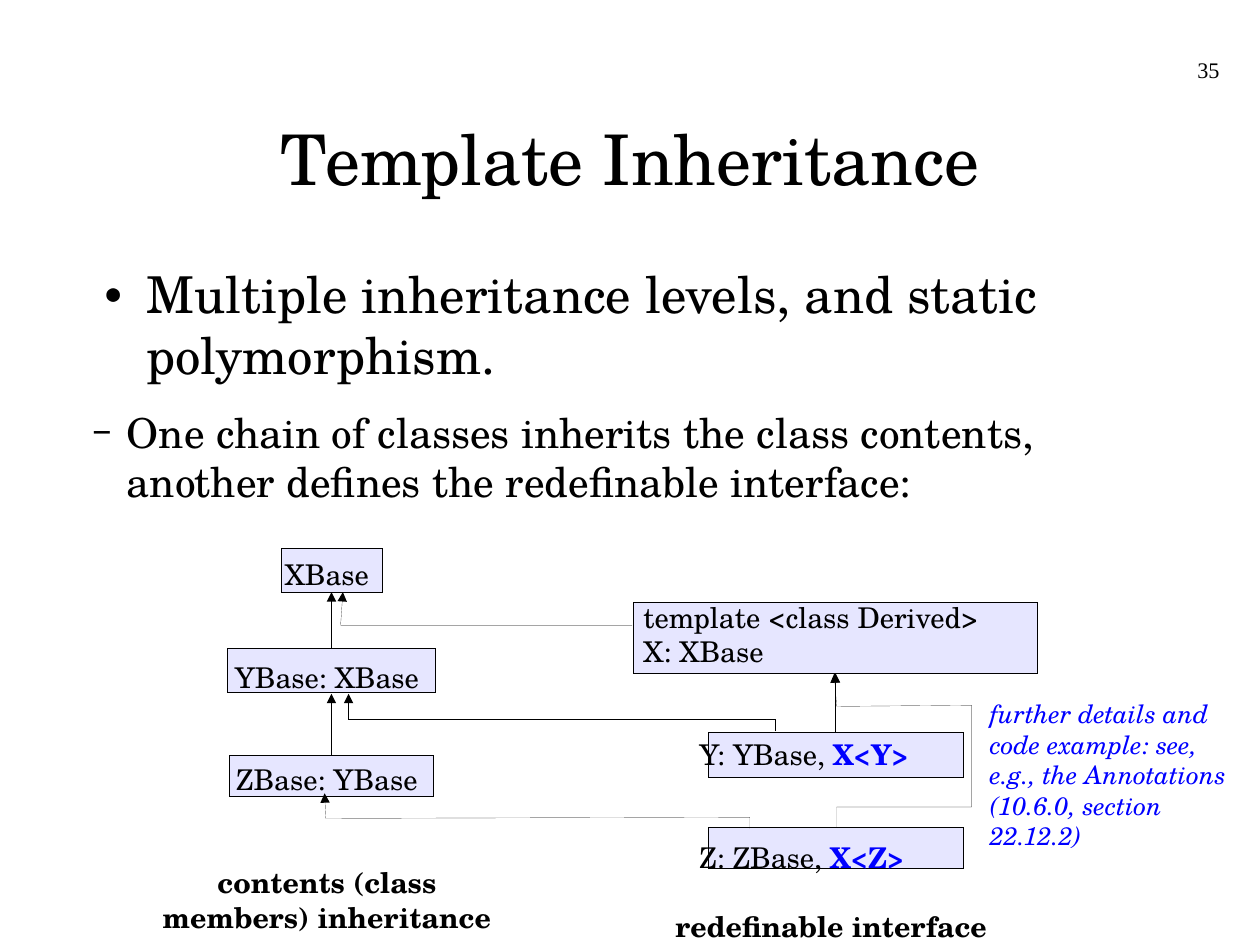
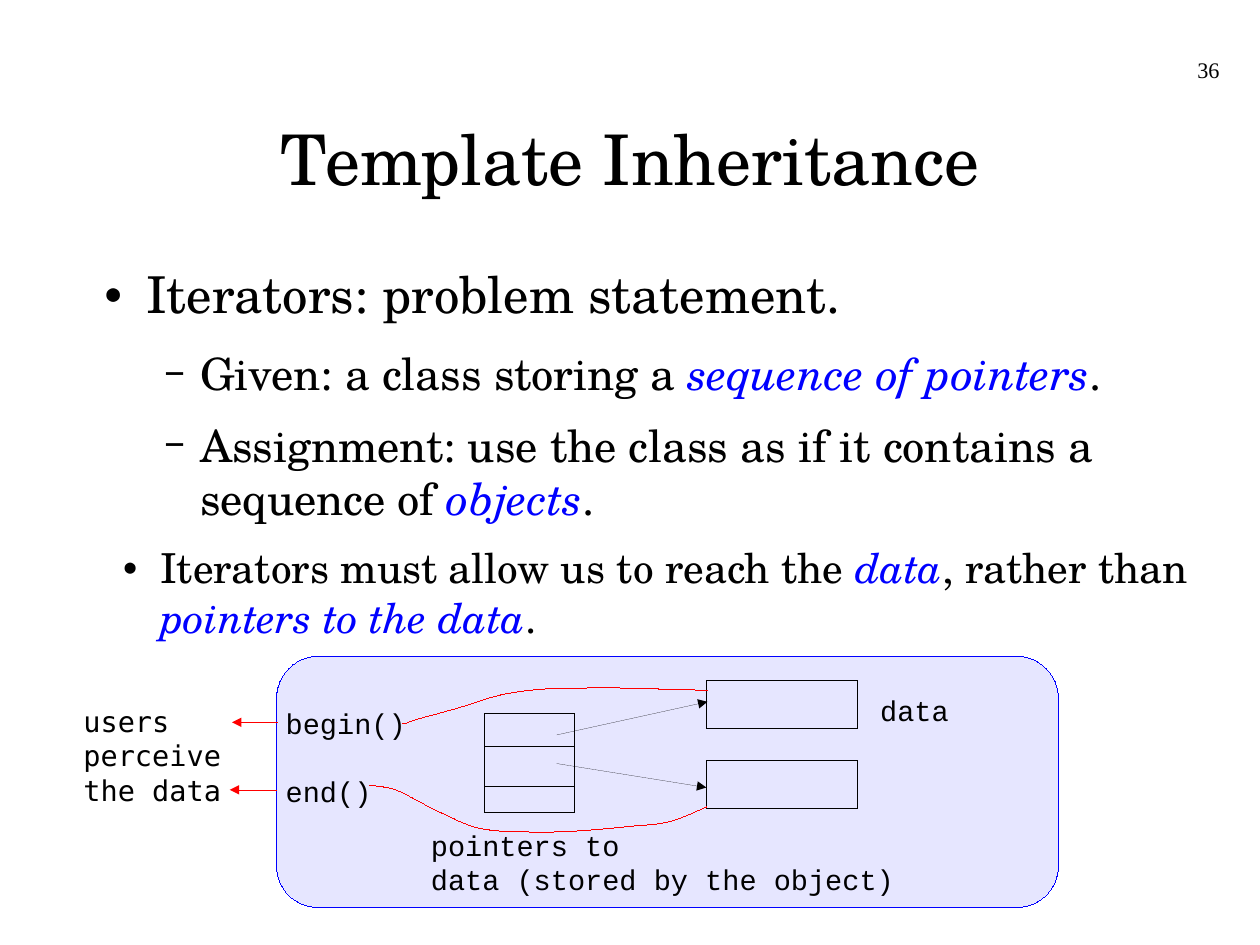
from lxml import etree
from pptx import Presentation
from pptx.dml.color import RGBColor
from pptx.enum.shapes import MSO_CONNECTOR, MSO_SHAPE
from pptx.enum.text import MSO_ANCHOR, PP_ALIGN
from pptx.oxml.ns import qn
from pptx.util import Inches, Pt

BLACK = RGBColor(0x00, 0x00, 0x00)
BLUE = RGBColor(0x00, 0x00, 0xFF)
RED = RGBColor(0xFF, 0x00, 0x00)
LAVENDER = RGBColor(0xE6, 0xE6, 0xFF)

SERIF = "TeX Gyre Schola"
COURIER = "Courier New"
MONO = "DejaVu Sans Mono"
NUMBER_FONT = "Times New Roman"

LEFT, CENTER, RIGHT = PP_ALIGN.LEFT, PP_ALIGN.CENTER, PP_ALIGN.RIGHT
TOP, MIDDLE = MSO_ANCHOR.TOP, MSO_ANCHOR.MIDDLE
RECT, ROUNDED = MSO_SHAPE.RECTANGLE, MSO_SHAPE.ROUNDED_RECTANGLE
STRAIGHT = MSO_CONNECTOR.STRAIGHT

CM_PER_INCH = 2.54
DOT, DASH = ("●", 45), ("−", 75)


def term(text):
    return text, {"color": BLUE, "italic": True}


def base_class(text):
    return text, {"color": BLUE, "bold": True}


def write(p, runs, size, font, color=BLACK, bold=False, italic=False):
    for run in runs if isinstance(runs, list) else [runs]:
        text, style = (run, {}) if isinstance(run, str) else run
        r = p.add_run()
        r.text = text
        r.font.size = Pt(size)
        r.font.name = font
        r.font.color.rgb = style.get("color", color)
        r.font.bold = style.get("bold", bold)
        r.font.italic = style.get("italic", italic)


def add_frame(s, x, y, w, h, anchor=TOP):
    tf = s.shapes.add_textbox(Inches(x), Inches(y), Inches(w), Inches(h)).text_frame
    tf.margin_left = tf.margin_right = tf.margin_top = tf.margin_bottom = 0
    tf.word_wrap = True
    tf.vertical_anchor = anchor
    return tf


def add_text(s, x, y, w, h, lines, size=18, font=SERIF, align=LEFT, anchor=TOP, **style):
    tf = add_frame(s, x, y, w, h, anchor)
    for i, runs in enumerate(lines):
        p = tf.paragraphs[0] if i == 0 else tf.add_paragraph()
        p.alignment = align
        write(p, runs, size, font, **style)


def set_bullet(p, bullet, margin, hanging):
    char, percent = bullet
    pPr = p._p.get_or_add_pPr()
    pPr.set("marL", str(Inches(margin)))
    pPr.set("indent", str(-Inches(hanging)))
    color = etree.SubElement(pPr, qn("a:buClr"))
    etree.SubElement(color, qn("a:srgbClr"), val=str(BLACK))
    etree.SubElement(pPr, qn("a:buSzPct"), val=str(percent * 1000))
    etree.SubElement(pPr, qn("a:buFont"), typeface=MONO)
    etree.SubElement(pPr, qn("a:buChar"), char=char)


def add_body(s, width, items):
    tf = add_frame(s, 0.81, 2.3, width, 5.21)
    for i, (level, bullet, margin, hanging, after, size, runs) in enumerate(items):
        p = tf.paragraphs[0] if i == 0 else tf.add_paragraph()
        p.level = level
        p.space_after = Pt(after)
        set_bullet(p, bullet, margin, hanging)
        write(p, runs, size, SERIF)


def set_hairline(sp, color, head=False):
    sp.line.color.rgb = color
    ln = sp.line._get_or_add_ln()
    ln.set("w", "0")
    if head:
        etree.SubElement(ln, qn("a:tailEnd"), type="triangle")


def add_box(s, x, y, w, h, fill=None, line=BLACK, kind=RECT):
    sp = s.shapes.add_shape(kind, Inches(x), Inches(y), Inches(w), Inches(h))
    sp.shadow.inherit = False
    if fill is None:
        sp.fill.background()
    else:
        sp.fill.solid()
        sp.fill.fore_color.rgb = fill
    set_hairline(sp, line)


def add_arrow(s, start, end, color=BLACK):
    cx = s.shapes.add_connector(STRAIGHT, *map(Inches, start + end))
    set_hairline(cx, color, head=True)
    etree.SubElement(cx._element.spPr, qn("a:effectLst"))


def add_route(s, points, color=BLACK, head=True):
    start, *rest = [(Inches(x), Inches(y)) for x, y in points]
    builder = s.shapes.build_freeform(*start)
    builder.add_line_segments(rest, close=False)
    sp = builder.convert_to_shape()
    sp.shadow.inherit = False
    sp.fill.background()
    set_hairline(sp, color, head)


def smooth_points(points, steps=6):
    padded = [points[0], *points, points[-1]]
    curve = [points[0]]
    for a, b, c, d in zip(padded, padded[1:], padded[2:], padded[3:]):
        for step in range(1, steps + 1):
            t = step / steps
            curve.append(tuple(
                (2 * q + (r - p) * t + (2 * p - 5 * q + 4 * r - u) * t ** 2
                 + (3 * q - p - 3 * r + u) * t ** 3) / 2
                for p, q, r, u in zip(a, b, c, d)))
    return curve


def add_slide(prs, number):
    s = prs.slides.add_slide(prs.slide_layouts[6])
    add_text(s, 0.81, 0.69, 9.41, 1.38, ["Template Inheritance"], 44,
             align=CENTER, anchor=MIDDLE)
    add_text(s, 8.1, 0.49, 2.57, 0.57, [str(number)], 14, NUMBER_FONT, RIGHT)
    return s


def build_levels_slide(prs):
    s = add_slide(prs, 35)
    add_body(s, 9.49, [
        (0, DOT, 0.47, 0.35, 14.1, 32,
         "Multiple inheritance levels, and static polymorphism."),
        (1, DASH, 0.3, 0.3, 11.3, 26,
         "One chain of classes inherits the class contents, "
         "another defines the redefinable interface:"),
    ])
    for box in [(2.46, 4.8, 0.89, 0.38), (1.99, 5.67, 1.82, 0.39),
                (2.01, 6.61, 1.78, 0.36), (5.54, 5.27, 3.54, 0.62),
                (6.2, 6.41, 2.23, 0.39), (6.2, 7.24, 2.23, 0.36)]:
        add_box(s, *box, fill=LAVENDER)

    for i, name in enumerate(["XBase", "YBase: XBase", "ZBase: YBase"]):
        add_text(s, 1.3, 4.87 + 0.9 * i, 3.12, 0.3, [name], align=CENTER)
    add_text(s, 1.3, 7.57, 3.12, 0.6, ["contents (class", "members) inheritance"],
             align=CENTER, bold=True)

    add_text(s, 5.63, 5.25, 3.31, 0.6, ["template <class Derived>", "X: XBase"])
    for i, name in enumerate("YZ"):
        add_text(s, 6.12, 6.45 + 0.9 * i, 2.6, 0.3,
                 [[f"{name}: {name}Base, ", base_class(f"X<{name}>")]])
    add_text(s, 5.91, 7.95, 3, 0.3, ["redefinable interface"], bold=True)

    add_arrow(s, (2.9, 6.61), (2.9, 6.07))
    add_arrow(s, (2.9, 5.67), (2.9, 5.18))
    add_arrow(s, (7.31, 6.41), (7.31, 5.89))
    for route in [
        [(5.53, 5.47), (2.98, 5.47), (3, 5.18)],
        [(6.78, 6.4), (6.78, 6.29), (3.05, 6.29), (3.05, 6.07)],
        [(6.56, 7.25), (6.56, 7.15), (2.85, 7.16), (2.84, 6.94)],
        [(7.32, 7.24), (7.32, 7.06), (8.5, 7.06), (8.5, 6.17), (7.32, 6.18), (7.3, 5.89)],
    ]:
        add_route(s, route)

    add_text(s, 8.66, 6.11, 2.3, 1.53,
             ["further details and", "code example: see,", "e.g., the Annotations",
              "(10.6.0, section", "22.12.2)"], 16, color=BLUE, italic=True)


def build_iterators_slide(prs):
    s = add_slide(prs, 36)
    add_box(s, 2.42, 5.74, 6.84, 2.2, LAVENDER, BLUE, ROUNDED)
    add_body(s, 9.85, [
        (0, DOT, 0.47, 0.35, 14.1, 32, "Iterators: problem statement."),
        (1, DASH, 0.94, 0.31, 11.3, 28,
         ["Given: a class storing a ", term("sequence of pointers"), "."]),
        (1, DASH, 0.94, 0.31, 11.3, 28,
         ["Assignment: use the class as if it contains a sequence of ",
          term("objects"), "."]),
        (2, DOT, 0.59, 0.31, 8.5, 26,
         ["Iterators must allow us to reach the ", term("data"), ", rather than ",
          term("pointers to the data"), "."]),
    ])

    for y in (5.95, 6.65):
        add_box(s, 6.18, y, 1.32, 0.42)
    add_box(s, 4.24, 6.24, 0.79, 0.87)
    add_box(s, 4.24, 6.53, 0.79, 0.35)
    add_arrow(s, (4.87, 6.43), (6.19, 6.14))
    add_arrow(s, (4.87, 6.68), (6.18, 6.89))

    add_text(s, 7.7, 6.06, 1.05, 0.3, ["data"], font=COURIER)
    add_text(s, 3.77, 7.24, 4.5, 0.6, ["pointers to", "data (stored by the object)"],
             font=COURIER)
    add_text(s, 2.5, 6.18, 1.3, 0.3, ["begin()"], font=COURIER)
    add_text(s, 2.5, 6.77, 1.3, 0.3, ["end()"], font=COURIER)
    add_text(s, 0.73, 6.16, 1.4, 0.87, ["users", "perceive", "the data"], font=MONO)

    begin_curve = [(6.19, 6.04), (5.82, 6.03), (5.46, 6.02), (5.1, 6.02), (4.74, 6.03),
                   (4.38, 6.08), (4.02, 6.19), (3.66, 6.29), (3.54, 6.33), (3.52, 6.33)]
    end_curve = [(6.18, 7.06), (5.85, 7.19), (5.51, 7.23), (5.06, 7.27), (4.65, 7.28),
                 (4.21, 7.25), (3.86, 7.11), (3.51, 6.93), (3.38, 6.89), (3.23, 6.87)]
    for curve in (begin_curve, end_curve):
        add_route(s, smooth_points(curve), RED, head=False)
    add_arrow(s, (2.43, 6.32), (2.03, 6.32), RED)
    add_arrow(s, (2.42, 6.91), (2.01, 6.91), RED)


def main():
    prs = Presentation()
    prs.slide_width = Inches(28 / CM_PER_INCH)
    prs.slide_height = Inches(21 / CM_PER_INCH)
    build_levels_slide(prs)
    build_iterators_slide(prs)
    prs.save("out.pptx")


if __name__ == "__main__":
    main()
